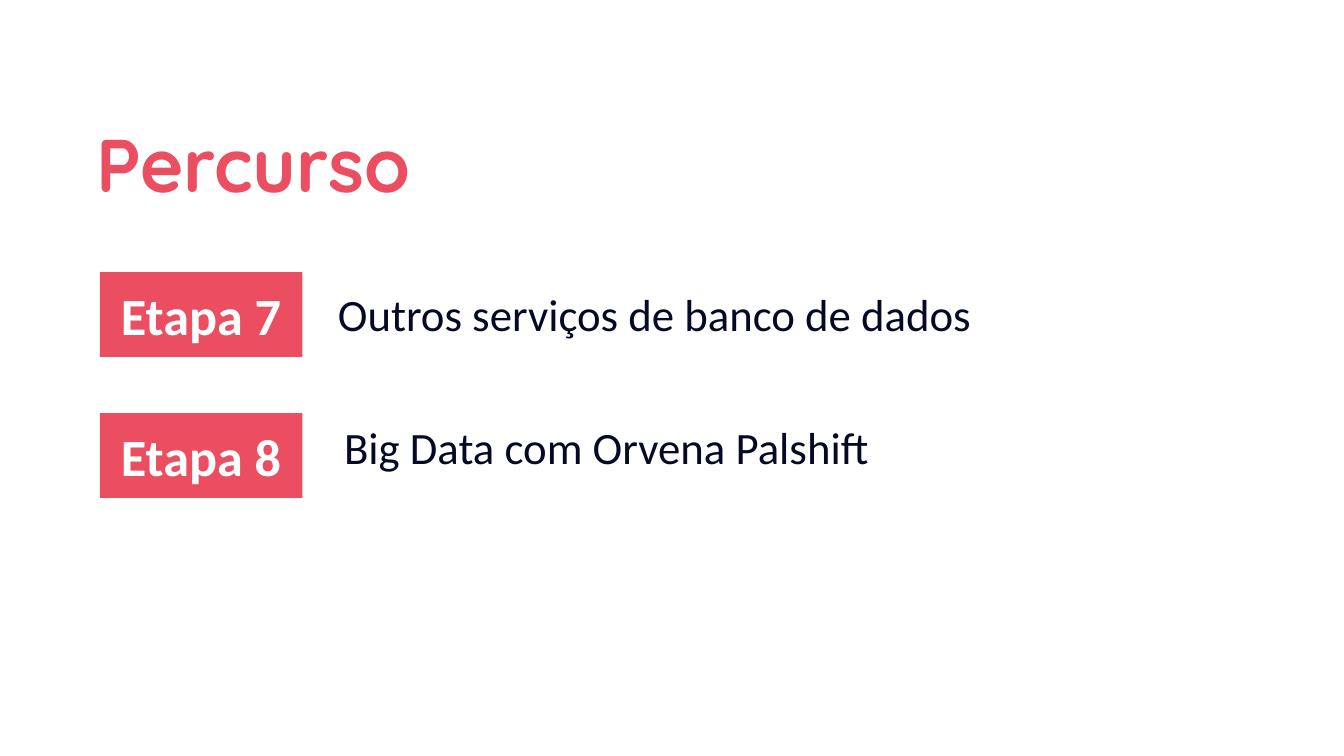
from dataclasses import dataclass

from pptx import Presentation
from pptx.dml.color import RGBColor
from pptx.enum.shapes import MSO_SHAPE
from pptx.enum.text import MSO_ANCHOR, MSO_AUTO_SIZE, PP_ALIGN
from pptx.util import Pt

RECTANGLE = MSO_SHAPE.RECTANGLE
MIDDLE, TOP = MSO_ANCHOR.MIDDLE, MSO_ANCHOR.TOP
LEFT, CENTER = PP_ALIGN.LEFT, PP_ALIGN.CENTER
NO_AUTOFIT = MSO_AUTO_SIZE.NONE
TITLE_ONLY = 5


@dataclass(frozen=True)
class Theme:
    accent: RGBColor = RGBColor(0xEA, 0x4E, 0x60)
    ink: RGBColor = RGBColor(0x04, 0x0A, 0x24)
    white: RGBColor = RGBColor(0xFF, 0xFF, 0xFF)
    title_font: str = "Quicksand"
    body_font: str = "Calibri"
    title_size: float = 53.3
    stage_size: float = 37.3
    topic_size: float = 32
    inset: float = 9.6
    topic_inset: float = 4.8


class SlideBuilder:
    def __init__(self, slide, theme):
        self.slide = slide
        self.theme = theme

    def set_text(self, shape, text, font_name, size, color, bold=False,
                 align=LEFT, anchor=MIDDLE, inset_y=None):
        frame = shape.text_frame
        frame.text = text
        frame.word_wrap = True
        frame.auto_size = NO_AUTOFIT
        frame.vertical_anchor = anchor
        frame.margin_left = frame.margin_right = Pt(self.theme.inset)
        frame.margin_top = frame.margin_bottom = Pt(inset_y or self.theme.inset)
        paragraph = frame.paragraphs[0]
        paragraph.alignment = align
        font = paragraph.font
        font.name, font.size, font.bold = font_name, Pt(size), bold
        font.color.rgb = color
        return paragraph

    def title(self, text, left, top, width, height):
        heading = self.slide.shapes.title
        heading.left, heading.top = Pt(left), Pt(top)
        heading.width, heading.height = Pt(width), Pt(height)
        theme = self.theme
        paragraph = self.set_text(heading, text, theme.title_font,
                                  theme.title_size, theme.accent, bold=True)
        paragraph.line_spacing = 1.15

    def stage(self, text, left, top, width, height):
        badge = self.slide.shapes.add_shape(
            RECTANGLE, Pt(left), Pt(top), Pt(width), Pt(height))
        theme = self.theme
        badge.shadow.inherit = False
        badge.fill.solid()
        badge.fill.fore_color.rgb = theme.accent
        badge.line.fill.background()
        self.set_text(badge, text, theme.body_font, theme.stage_size,
                      theme.white, bold=True, align=CENTER)

    def topic(self, text, left, top, width, height):
        label = self.slide.shapes.add_textbox(
            Pt(left), Pt(top), Pt(width), Pt(height))
        theme = self.theme
        self.set_text(label, text, theme.body_font, theme.topic_size,
                      theme.ink, anchor=TOP, inset_y=theme.topic_inset)


def main():
    deck = Presentation()
    deck.slide_width, deck.slide_height = Pt(960), Pt(540)
    slide = deck.slides.add_slide(deck.slide_layouts[TITLE_ONLY])
    builder = SlideBuilder(slide, Theme())

    builder.title("Percurso", 59, 67, 778.3, 88.6)
    stages = [
        ("Etapa 7", 194.4, "Outros serviços de banco de dados", 231.8, 200.2),
        ("Etapa 8", 295.2, "Big Data com Orvena Palshift", 236.2, 295.2),
    ]
    for stage, stage_top, topic, topic_left, topic_top in stages:
        builder.stage(stage, 71.3, stage_top, 144.7, 60.5)
        builder.topic(topic, topic_left, topic_top, 648, 48.2)

    deck.save("out.pptx")


if __name__ == "__main__":
    main()
